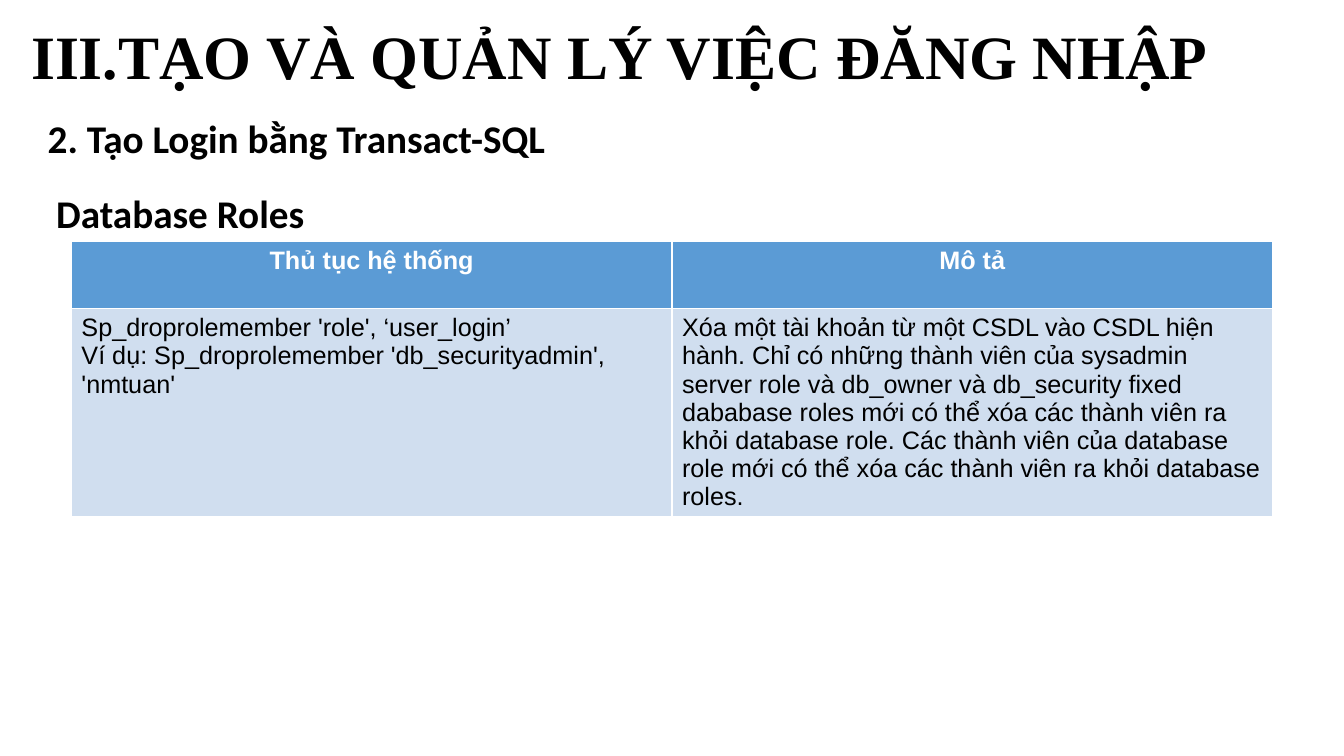
"""Build the slide on database roles in Transact-SQL logins."""
from dataclasses import dataclass

import pptx
import pptx.dml.color
import pptx.enum.text
import pptx.shapes.base
import pptx.slide
import pptx.table
import pptx.text.text
import pptx.util

PX = 9525
BLACK = pptx.dml.color.RGBColor(0x00, 0x00, 0x00)
WHITE = pptx.dml.color.RGBColor(0xFF, 0xFF, 0xFF)
HEADER_BLUE = pptx.dml.color.RGBColor(0x5B, 0x9B, 0xD5)
ROW_BLUE = pptx.dml.color.RGBColor(0xD0, 0xDE, 0xEF)
ALIGN = pptx.enum.text.PP_ALIGN
ANCHOR = pptx.enum.text.MSO_ANCHOR


@dataclass(frozen=True)
class TextStyle:
    font: str
    size: int
    color: pptx.dml.color.RGBColor
    bold: bool
    align: ALIGN
    line_spacing: float = 1.0


@dataclass(frozen=True)
class Box:
    left: int
    top: int
    width: int
    height: int


@dataclass(frozen=True)
class TableRow:
    height: int
    fill: pptx.dml.color.RGBColor
    style: TextStyle
    texts: tuple[str, ...]


TITLE_STYLE = TextStyle("Times New Roman", 44, BLACK, True, ALIGN.LEFT, 0.9)
HEADING_STYLE = TextStyle("Calibri", 28, BLACK, True, ALIGN.JUSTIFY, 1.3)
HEADER_STYLE = TextStyle("Arial", 18, WHITE, True, ALIGN.CENTER)
CELL_STYLE = TextStyle("Arial", 18, BLACK, False, ALIGN.LEFT)

TITLE = "III.TẠO VÀ QUẢN LÝ VIỆC ĐĂNG NHẬP"
HEADINGS = "2. Tạo Login bằng Transact-SQL\nDatabase Roles"
SUBHEADING_INDENT = 8
COLUMN_WIDTH = 572
ROWS = (
    TableRow(64, HEADER_BLUE, HEADER_STYLE, ("Thủ tục hệ thống", "Mô tả")),
    TableRow(190, ROW_BLUE, CELL_STYLE, (
        "Sp_droprolemember 'role', ‘user_login’\n"
        "Ví dụ: Sp_droprolemember 'db_securityadmin', 'nmtuan'",
        "Xóa một tài khoản từ một CSDL vào CSDL hiện hành. Chỉ có những thành viên "
        "của sysadmin server role và db_owner và db_security fixed dababase roles "
        "mới có thể xóa các thành viên ra khỏi database role. Các thành viên của "
        "database role mới có thể xóa các thành viên ra khỏi database roles.",
    )),
)


def write(text_frame: pptx.text.text.TextFrame, text: str, style: TextStyle) -> None:
    """Put text in a frame and format every paragraph and run."""
    text_frame.text = text
    for paragraph in text_frame.paragraphs:
        paragraph.alignment = style.align
        paragraph.line_spacing = style.line_spacing
        paragraph.space_before = pptx.util.Pt(0)
        for run in paragraph.runs:
            run.font.name = style.font
            run.font.size = pptx.util.Pt(style.size)
            run.font.bold = style.bold
            run.font.color.rgb = style.color


def fill_box(shape: pptx.shapes.base.BaseShape, box: Box, text: str,
             style: TextStyle, anchor: ANCHOR) -> None:
    """Place a text shape and write its text."""
    shape.left, shape.top = box.left * PX, box.top * PX
    shape.width, shape.height = box.width * PX, box.height * PX
    shape.text_frame.word_wrap = True
    shape.text_frame.auto_size = pptx.enum.text.MSO_AUTO_SIZE.NONE
    shape.text_frame.vertical_anchor = anchor
    write(shape.text_frame, text, style)


def add_headings(slide: pptx.slide.Slide, box: Box) -> None:
    """Add the section heading and its indented subheading."""
    shape = slide.shapes.add_textbox(0, 0, PX, PX)
    fill_box(shape, box, HEADINGS, HEADING_STYLE, ANCHOR.TOP)
    subheading = shape.text_frame.paragraphs[1]
    subheading.space_before = pptx.util.Pt(10)
    subheading._p.get_or_add_pPr().set("marL", str(SUBHEADING_INDENT * PX))


def add_procedure_table(slide: pptx.slide.Slide, left: int, top: int) -> None:
    """Add the table of system procedures."""
    column_count = len(ROWS[0].texts)
    table: pptx.table.Table = slide.shapes.add_table(
        len(ROWS), column_count, left * PX, top * PX,
        column_count * COLUMN_WIDTH * PX, sum(row.height for row in ROWS) * PX,
    ).table
    for row_index, row in enumerate(ROWS):
        table.rows[row_index].height = row.height * PX
        for column_index, text in enumerate(row.texts):
            cell = table.cell(row_index, column_index)
            cell.fill.solid()
            cell.fill.fore_color.rgb = row.fill
            write(cell.text_frame, text, row.style)


def main() -> None:
    """Build and save the presentation."""
    presentation = pptx.Presentation()
    presentation.slide_width = 1280 * PX
    presentation.slide_height = 720 * PX
    slide = presentation.slides.add_slide(
        presentation.slide_layouts.get_by_name("Title Only"))
    fill_box(slide.shapes.title, Box(20, -13, 1224, 139), TITLE, TITLE_STYLE,
             ANCHOR.MIDDLE)
    add_headings(slide, Box(36, 91, 1194, 507))
    add_procedure_table(slide, 68, 230)
    presentation.save("out.pptx")


if __name__ == "__main__":
    main()
